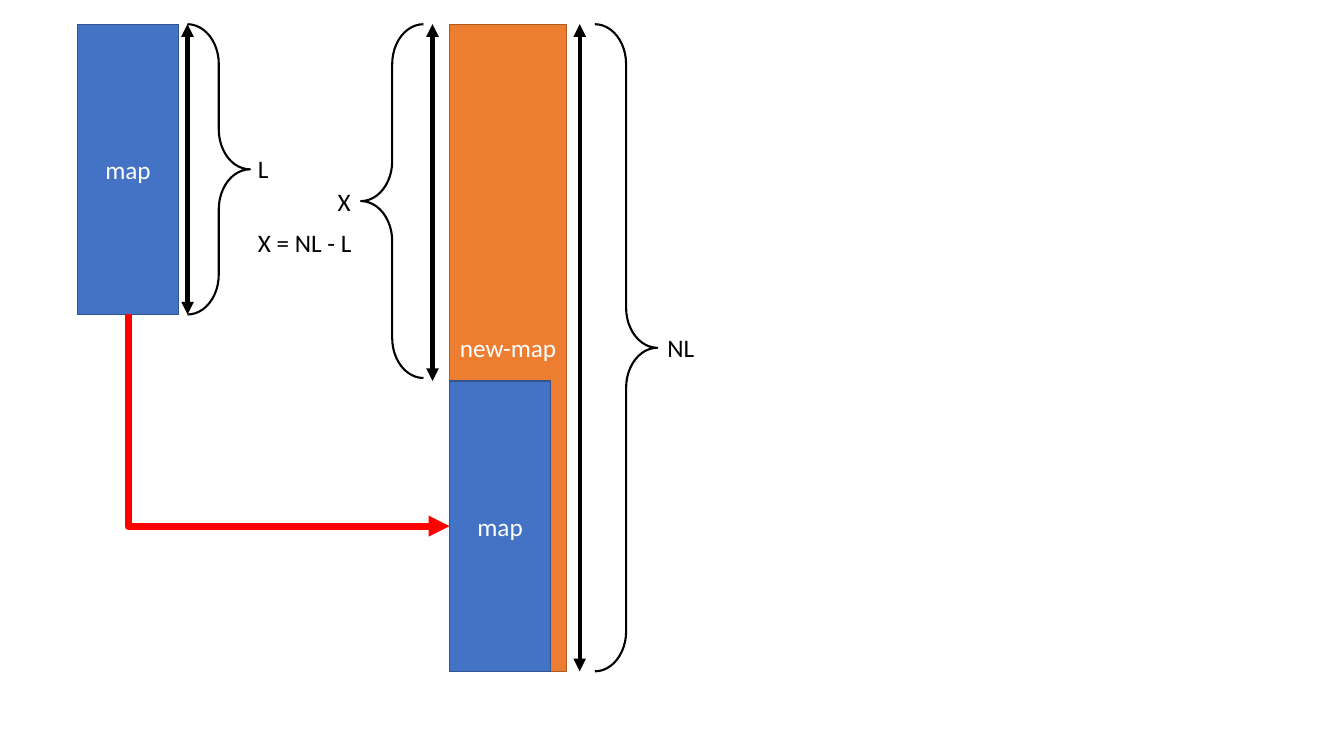
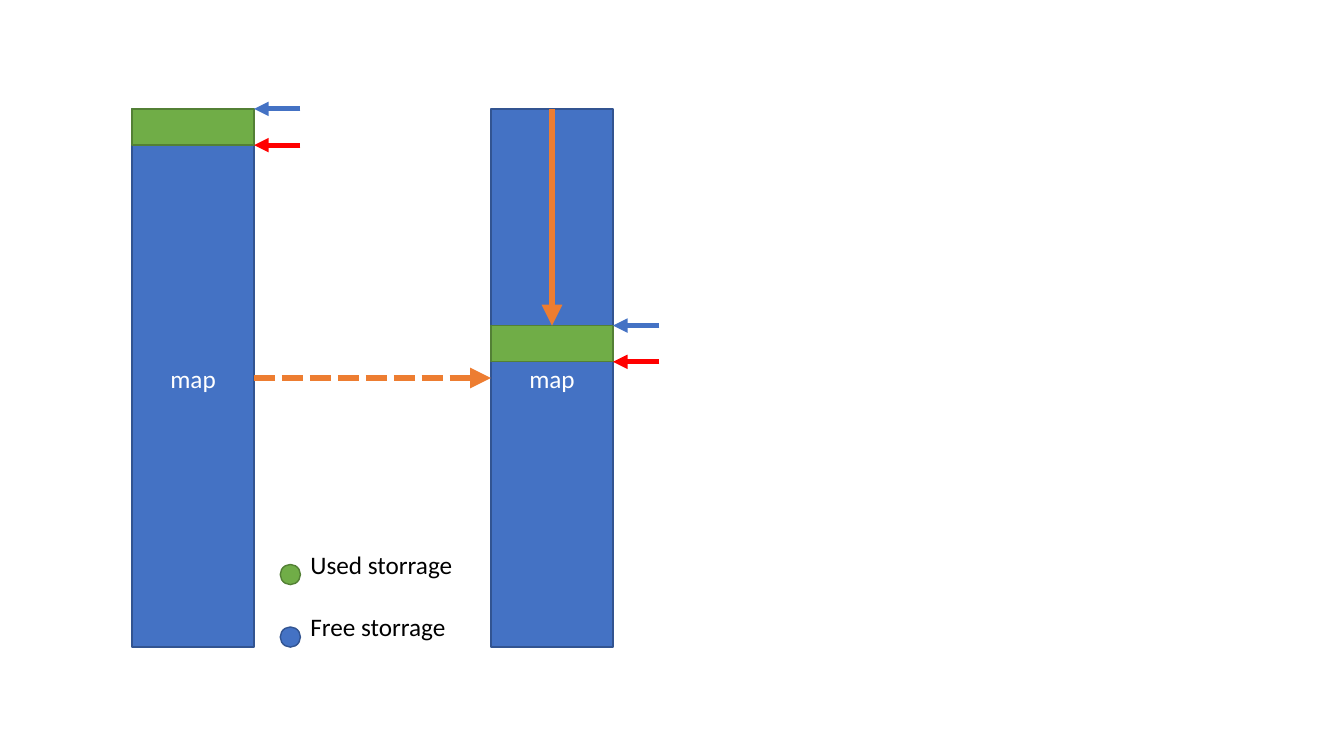
from dataclasses import dataclass
from lxml.etree import SubElement
from pptx import Presentation
from pptx.dml.color import RGBColor
from pptx.enum.dml import MSO_LINE
from pptx.enum.shapes import MSO_CONNECTOR, MSO_SHAPE
from pptx.enum.text import MSO_ANCHOR, MSO_AUTO_SIZE, PP_ALIGN
from pptx.oxml.ns import qn
from pptx.util import Inches, Pt


@dataclass(frozen=True)
class Theme:
    """Colours, font and line widths shared by the slides."""
    blue: str = "4472C4"
    navy: str = "325491"
    orange: str = "ED7D31"
    brown: str = "AF5C24"
    green: str = "70AD47"
    moss: str = "538035"
    red: str = "FF0000"
    black: str = "000000"
    white: str = "FFFFFF"
    font: str = "Calibri"
    size: float = 18
    edge: float = 1
    curve: float = 1.5
    span: float = 3
    mark: float = 3.5
    flow: float = 5


THEME = Theme()
FREE = (THEME.blue, THEME.navy)
USED = (THEME.green, THEME.moss)
NEW = (THEME.orange, THEME.brown)


def inches(*values):
    """Turn numbers into lengths."""
    return [Inches(value) for value in values]


def write(frame, text, color, align):
    """Put one styled paragraph in a text frame."""
    para = frame.paragraphs[0]
    para.text = text
    para.alignment = align
    para.font.name = THEME.font
    para.font.size = Pt(THEME.size)
    para.font.color.rgb = RGBColor.from_string(color)


def block(slide, box, paint, text="", kind=MSO_SHAPE.RECTANGLE):
    """Draw a filled shape with an optional centred label."""
    shape = slide.shapes.add_shape(kind, *inches(*box))
    shape.shadow.inherit = False
    fill, edge = paint
    shape.fill.solid()
    shape.fill.fore_color.rgb = RGBColor.from_string(fill)
    shape.line.color.rgb = RGBColor.from_string(edge)
    shape.line.width = Pt(THEME.edge)
    if text:
        shape.text_frame.vertical_anchor = MSO_ANCHOR.MIDDLE
        write(shape.text_frame, text, THEME.white, PP_ALIGN.CENTER)


def label(slide, box, text, wrap=True):
    """Write black text in a box."""
    frame = slide.shapes.add_textbox(*inches(*box)).text_frame
    frame.word_wrap = wrap
    frame.auto_size = MSO_AUTO_SIZE.SHAPE_TO_FIT_TEXT
    write(frame, text, THEME.black, PP_ALIGN.LEFT)


def brace(slide, left, top, height, flip=False):
    """Draw a curly brace, opening left unless flipped."""
    box = inches(left, top, 0.62, height)
    shape = slide.shapes.add_shape(MSO_SHAPE.RIGHT_BRACE, *box)
    shape.shadow.inherit = False
    shape.adjustments[0] = 0.64
    shape.adjustments[1] = 0.5
    shape.fill.background()
    shape.line.color.rgb = RGBColor.from_string(THEME.black)
    shape.line.width = Pt(THEME.curve)
    if flip:
        shape.element.spPr.find(qn("a:xfrm")).set("flipH", "1")


def arrow(slide, start, end, color, width, both=False, dash=None,
          kind=MSO_CONNECTOR.STRAIGHT):
    """Draw an arrow to its end point, or to both points."""
    line = slide.shapes.add_connector(kind, *inches(*start, *end))
    line.line.color.rgb = RGBColor.from_string(color)
    line.line.width = Pt(width)
    if dash:
        line.line.dash_style = dash
    edge = line.get_or_add_ln()
    for tip in ("a:headEnd", "a:tailEnd") if both else ("a:tailEnd",):
        SubElement(edge, qn(tip), type="triangle")
    props = line.element.spPr
    SubElement(props, qn("a:effectLst"))
    return props


def bend(slide, start, end, color):
    """Draw an arrow that goes down and then right."""
    mid_x, mid_y = [(a + b) / 2 for a, b in zip(start, end)]
    wide, high = end[0] - start[0], end[1] - start[1]
    first = (mid_x + high / 2, mid_y - wide / 2)
    last = (mid_x - high / 2, mid_y + wide / 2)
    props = arrow(slide, first, last, color, THEME.flow,
                  kind=MSO_CONNECTOR.ELBOW)
    props.find(qn("a:xfrm")).set("rot", str(270 * 60000))
    props.find(qn("a:prstGeom")).set("prst", "bentConnector2")


def span(slide, x, top, height):
    """Mark a height with a double arrow."""
    arrow(slide, (x, top), (x, top + height), THEME.black, THEME.span, True)


def growth(slide, box):
    """Show a map copied to the end of a larger map."""
    left, top, wide, high = box
    old, width = 2.88, 1
    gap = high - old
    new = left + 3.69
    block(slide, (left, top, width, old), FREE, "map")
    block(slide, (new, top, wide - 3.69, high), NEW, "new-map")
    block(slide, (new, top + gap, width, old), FREE, "map")
    for x, height in ((left + 1.09, old), (new - 0.17, gap),
                      (left + wide + 0.13, high)):
        span(slide, x, top, height)
    brace(slide, left + 1.09, top, old)
    brace(slide, new - 0.88, top, gap - 0.03, True)
    brace(slide, left + wide + 0.28, top, high)
    for x, y, width_text, text in ((1.69, 1.23, 0.34, "L"),
                                   (2.48, 1.56, 0.34, "X"),
                                   (1.69, 1.97, 1.24, "X = NL - L"),
                                   (5.75, 3.01, 0.55, "NL")):
        label(slide, (left + x, top + y, width_text, 0.4), text)
    bend(slide, (left + width / 2, top + old),
         (new, top + gap + old / 2), THEME.red)


def store(slide, box, shift):
    """Draw a map with its used part shifted down and marked."""
    left, top, wide, high = box
    part, right = 0.36, left + wide
    block(slide, box, FREE, "map")
    block(slide, (left, top + shift, wide, part), USED)
    for y, color in ((top + shift, THEME.blue),
                     (top + shift + part, THEME.red)):
        arrow(slide, (right + 0.46, y), (right, y), color, THEME.mark)


def legend(slide, left, top):
    """List the colours of used and free storage."""
    rows = (("Used storrage", USED, 1.62), ("Free storrage", FREE, 1.56))
    for row, (text, paint, wide) in enumerate(rows):
        y = top + row * 0.62
        block(slide, (left, y + 0.2, 0.2, 0.2), paint, kind=MSO_SHAPE.OVAL)
        label(slide, (left + 0.2, y, wide, 0.4), text, False)


def moving(slide, box):
    """Show the used part of a map moving towards its centre."""
    left, top, wide, high = box
    width, shift = 1.21, 2.15
    new = left + wide - width
    store(slide, (left, top, width, high), 0)
    store(slide, (new, top, width, high), shift)
    mid_x, mid_y = new + width / 2, top + high / 2
    arrow(slide, (mid_x, top), (mid_x, top + shift),
          THEME.orange, THEME.flow)
    arrow(slide, (left + width, mid_y), (new, mid_y),
          THEME.orange, THEME.flow, dash=MSO_LINE.SQUARE_DOT)
    legend(slide, left + 1.47, top + 4.32)


def main():
    """Build and save both slides."""
    deck = Presentation()
    deck.slide_width, deck.slide_height = inches(13.33, 7.5)
    for draw, box in ((growth, (0.77, 0.24, 4.85, 6.42)),
                      (moving, (1.31, 1.08, 4.77, 5.34))):
        draw(deck.slides.add_slide(deck.slide_layouts[6]), box)
    deck.save("out.pptx")


if __name__ == "__main__":
    main()
